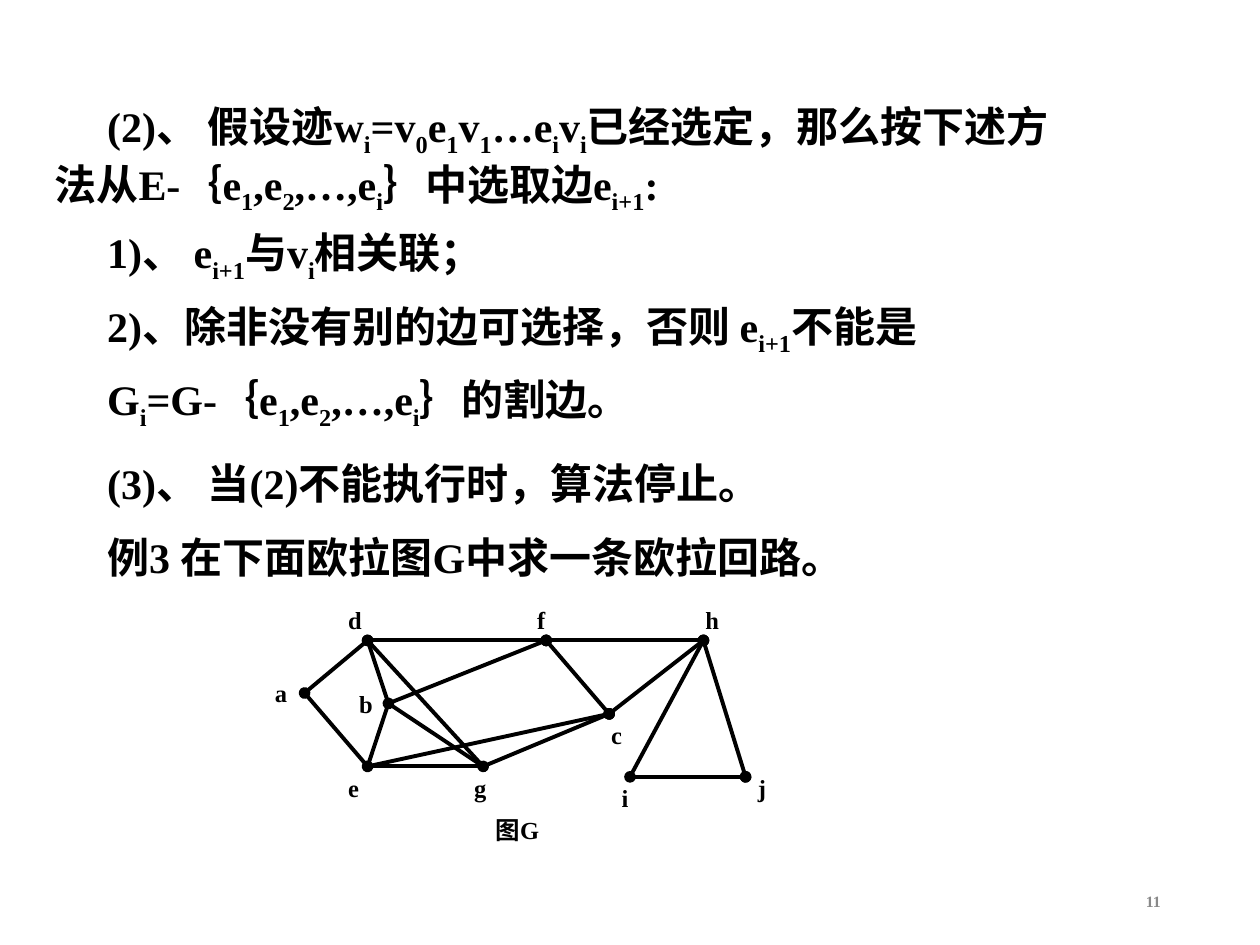
from lxml.etree import SubElement
from pptx import Presentation
from pptx.dml.color import RGBColor
from pptx.enum.shapes import MSO_CONNECTOR
from pptx.enum.text import MSO_ANCHOR, MSO_AUTO_SIZE, PP_ALIGN
from pptx.oxml.ns import qn
from pptx.util import Cm, Pt

BLACK = RGBColor(0x00, 0x00, 0x00)
GREY = RGBColor(0x89, 0x89, 0x89)

# Text between a pair of ~ marks is subscript.
STEPS = [
    (1.91, 2.57, "(2)、 假设迹w~i~=v~0~e~1~v~1~…e~i~v~i~已经选定，那么按下述方法从E-"
                 "｛e~1~,e~2~,…,e~i~｝中选取边e~i+1~:"),
    (4.45, 1.42, "1)、 e~i+1~与v~i~相关联；"),
    (5.93, 1.42, "2)、除非没有别的边可选择，否则 e~i+1~不能是"),
    (7.41, 1.42, "G~i~=G-｛e~1~,e~2~,…,e~i~｝的割边。"),
    (9.1, 1.27, "(3)、 当(2)不能执行时，算法停止。"),
    (10.58, 1.27, "例3 在下面欧拉图G中求一条欧拉回路。"),
]

# Vertex name: (vertex position, label position)
VERTICES = {
    "a": ((6.14, 13.97), (5.29, 13.55)),
    "b": ((7.83, 14.18), (6.99, 13.76)),
    "c": ((12.28, 14.39), (12.07, 14.39)),
    "d": ((7.41, 12.91), (6.77, 12.07)),
    "e": ((7.41, 15.45), (6.77, 15.45)),
    "f": ((11.01, 12.91), (10.58, 12.07)),
    "g": ((9.74, 15.45), (9.31, 15.45)),
    "h": ((14.18, 12.91), (13.97, 12.07)),
    "i": ((12.7, 15.66), (12.28, 15.66)),
    "j": ((15.03, 15.66), (15.03, 15.45)),
}
PLAIN_EDGES = "bg eg ae db be dg fc hi".split()
DOTTED_EDGES = "da df fb ce cg fh hc ij hj".split()


class SlideBuilder:
    font = {"name": "Times New Roman", "bold": True}
    line_width = Pt(2.25)

    def __init__(self, slide):
        self.slide = slide
        self.shapes = slide.shapes

    def start_group(self):
        """Send all following elements into a new group."""
        self.shapes = self.slide.shapes.add_group_shape().shapes

    def end_group(self):
        self.shapes = self.slide.shapes

    def text(self, left, top, width, height, text, size, color=BLACK,
             indent=0, align=PP_ALIGN.LEFT, anchor=MSO_ANCHOR.TOP,
             auto_size=MSO_AUTO_SIZE.SHAPE_TO_FIT_TEXT):
        box = self.shapes.add_textbox(Cm(left), Cm(top), Cm(width), Cm(height))
        frame = box.text_frame
        frame_format = {"word_wrap": True, "auto_size": auto_size,
                        "vertical_anchor": anchor}
        for name, value in frame_format.items():
            setattr(frame, name, value)
        paragraph = frame.paragraphs[0]
        paragraph.alignment = align
        if indent:
            paragraph._p.get_or_add_pPr().set("indent", str(Cm(indent)))
        for index, part in enumerate(text.split("~")):
            if part:
                self.run(paragraph, part, size, color, subscript=index % 2 == 1)

    def run(self, paragraph, text, size, color, subscript):
        run = paragraph.add_run()
        run.text = text
        for name, value in {**self.font, "size": Pt(size)}.items():
            setattr(run.font, name, value)
        run.font.color.rgb = color
        if subscript:
            run.font._element.set("baseline", "-25000")

    def edge(self, start, end, dotted):
        """Join two points, with a round dot at both ends if dotted."""
        points = [Cm(value) for value in (*start, *end)]
        connector = self.shapes.add_connector(MSO_CONNECTOR.STRAIGHT, *points)
        connector.line.width = self.line_width
        connector.line.color.rgb = BLACK
        properties = connector._element.spPr
        if dotted:
            line = properties.find(qn("a:ln"))
            for tag in ("a:headEnd", "a:tailEnd"):
                SubElement(line, qn(tag), type="oval")
        SubElement(properties, qn("a:effectLst"))


def main():
    presentation = Presentation()
    presentation.slide_width = Cm(25.4)
    presentation.slide_height = Cm(19.05)
    slide = presentation.slides.add_slide(presentation.slide_layouts[6])
    builder = SlideBuilder(slide)

    builder.text(17.93, 17.65, 5.72, 1.02, "11", 9, GREY, align=PP_ALIGN.RIGHT,
                 anchor=MSO_ANCHOR.MIDDLE, auto_size=MSO_AUTO_SIZE.NONE)
    for top, height, text in STEPS:
        builder.text(0.85, top, 21.39, height, text, 24, indent=1.06)

    builder.start_group()
    for edge in PLAIN_EDGES + DOTTED_EDGES:
        start, end = (VERTICES[name][0] for name in edge)
        builder.edge(start, end, edge in DOTTED_EDGES)
    for name, (_, label) in VERTICES.items():
        builder.text(*label, 0.89, 0.86, name, 14)
    builder.text(9.74, 16.3, 2.54, 0.86, "图G", 14)
    builder.end_group()

    presentation.save("out.pptx")


if __name__ == "__main__":
    main()
